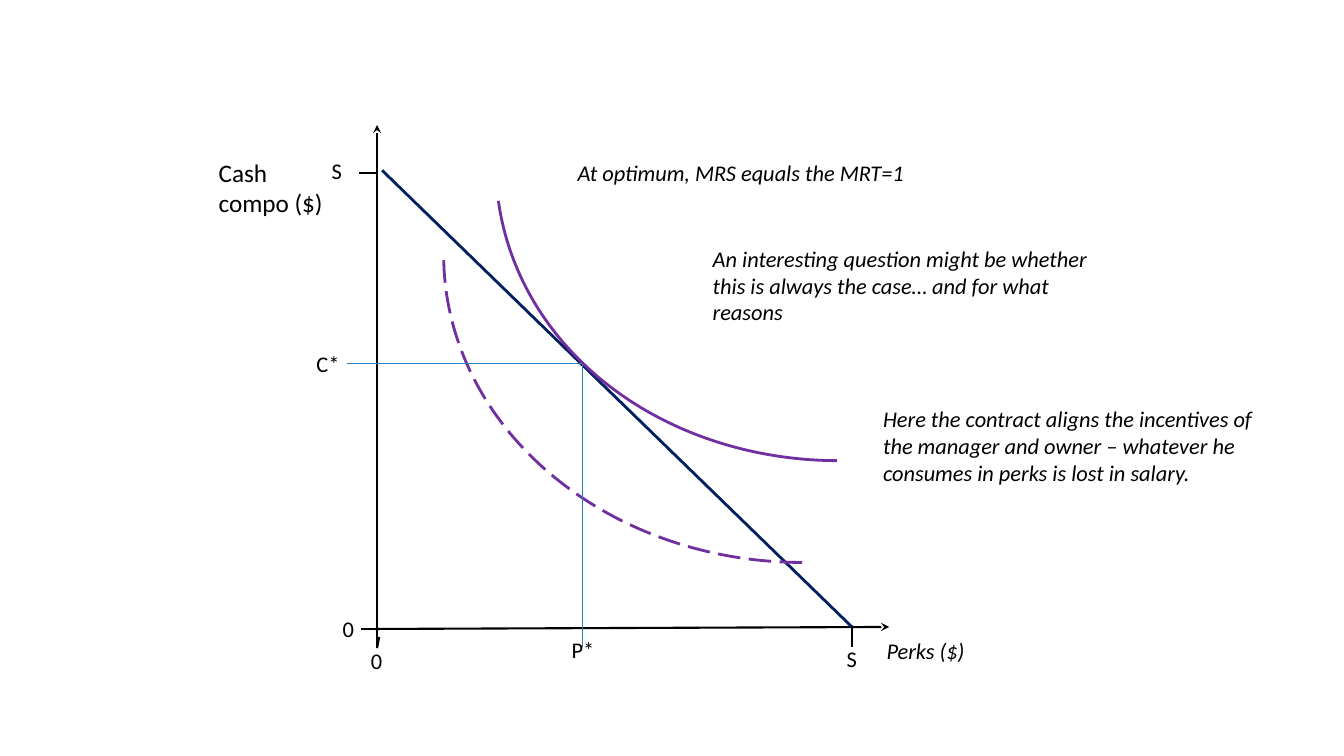
"""Draw the pay and perks budget line with the manager's indifference curves."""
from dataclasses import dataclass

from lxml.etree import SubElement
from pptx import Presentation
from pptx.dml.color import RGBColor
from pptx.enum.dml import MSO_LINE
from pptx.enum.shapes import MSO_CONNECTOR, MSO_SHAPE
from pptx.enum.text import MSO_AUTO_SIZE, PP_ALIGN
from pptx.oxml.ns import qn
from pptx.util import Inches, Pt


@dataclass(frozen=True)
class Theme:
    """Colours, type sizes and line widths."""
    font: str = "Calibri"
    ink: str = "000000"
    budget: str = "002060"
    curve: str = "7030A0"
    guide: str = "2683BF"
    title_size: int = 18
    text_size: int = 16
    axis_width: float = 1.5
    curve_width: float = 2
    guide_width: float = 0.75


THEME = Theme()
COLUMNS, ROWS = 133.3, 75
CELL = Inches(7.5) / ROWS

ZERO_X, ZERO_Y = 37.4, 62.4
FULL_X, FULL_Y = 84.5, 17.2
BEST_X, BEST_Y = 57.75, 36.1
BASE_Y, TICK_END = 62.2, 64.2
TICK = 1.8
ROW_HEIGHT = {1: 3.7, 2: 7.1, 3: 9.1}
ARC_WIDTH, ARC_HEIGHT = 71.1, 61

AXES = [
    ((ZERO_X, 12.4), (ZERO_X, TICK_END)),
    ((88.2, BASE_Y), (37.2, ZERO_Y)),
]
TICKS = [
    ((ZERO_X, 64.3), (37.6, 63.2)),
    ((ZERO_X - TICK + 0.2, ZERO_Y), (ZERO_X + 0.2, ZERO_Y)),
    ((FULL_X, BASE_Y), (FULL_X, TICK_END)),
    ((ZERO_X - TICK, FULL_Y), (ZERO_X, FULL_Y)),
]
BUDGET = ((37.9, 16.9), (FULL_X, BASE_Y))
GUIDES = [
    ((BEST_X, BEST_Y), (34.4, BEST_Y)),
    ((BEST_X, BEST_Y), (BEST_X, TICK_END)),
]
CURVES = [
    (49.1, -15.4, 172.2, (168.51, 0), MSO_LINE.SOLID),
    (44, -5.2, 180, (162, 0), MSO_LINE.LONG_DASH),
]
TICK_LABELS = [
    ("0", 35.8, 63.7, 4.3),
    ("0", 33, 60.5, 2.8),
    ("S", 83, 63.5, 4.3),
    ("S", 31.9, 15.1, 6.1),
    ("C*", 30.4, 34.2, 6.1),
    ("P*", 55.7, 62.6, 6.1),
]
NOTES = [
    ("At optimum, MRS equals the MRT=1", 56.3, 15.3, 1),
    ("An interesting question might be whether this is always the case… "
     "and for what reasons", 69.7, 23.8, 3),
    ("Here the contract aligns the incentives of the manager and owner – "
     "whatever he consumes in perks is lost in salary.", 86.6, 39.7, 3),
]
NOTE_WIDTH = 39.9


def cells(*counts):
    return [round(count * CELL) for count in counts]


def style_line(line, color, width):
    line.color.rgb = RGBColor.from_string(color)
    line.width = Pt(width)


def add_line(page, ends, color, width, arrow=False):
    (left, top), (right, bottom) = ends
    line = page.shapes.add_connector(
        MSO_CONNECTOR.STRAIGHT, *cells(left, top, right, bottom))
    style_line(line.line, color, width)
    properties = line._element.spPr
    if arrow:
        SubElement(properties.find(qn("a:ln")), qn("a:headEnd"), type="stealth")
    SubElement(properties, qn("a:effectLst"))


def add_curve(page, left, top, turn, angles, dash):
    curve = page.shapes.add_shape(
        MSO_SHAPE.ARC, *cells(left, top, ARC_WIDTH, ARC_HEIGHT))
    curve.adjustments[0], curve.adjustments[1] = angles
    curve.rotation = turn
    curve.shadow.inherit = False
    curve.fill.background()
    style_line(curve.line, THEME.curve, THEME.curve_width)
    curve.line.dash_style = dash


def add_text(page, text, left, top, width, rows=1, size=THEME.text_size,
             italic=False, align=PP_ALIGN.LEFT):
    box = page.shapes.add_textbox(*cells(left, top, width, ROW_HEIGHT[rows]))
    frame = box.text_frame
    frame.word_wrap = True
    frame.auto_size = MSO_AUTO_SIZE.SHAPE_TO_FIT_TEXT
    para = frame.paragraphs[0]
    para.alignment = align
    span = para.add_run()
    span.text = text
    span.font.name = THEME.font
    span.font.size = Pt(size)
    span.font.italic = italic
    span.font.color.rgb = RGBColor.from_string(THEME.ink)


def main():
    deck = Presentation()
    deck.slide_width, deck.slide_height = cells(COLUMNS, ROWS)
    page = deck.slides.add_slide(deck.slide_layouts[6])

    for ends in AXES:
        add_line(page, ends, THEME.ink, THEME.axis_width, arrow=True)
    for ends in TICKS:
        add_line(page, ends, THEME.ink, THEME.axis_width)
    add_line(page, BUDGET, THEME.budget, THEME.curve_width)
    for curve in CURVES:
        add_curve(page, *curve)
    for ends in GUIDES:
        add_line(page, ends, THEME.guide, THEME.guide_width)

    add_text(page, "Cash compo ($)", 20.7, 15.1, 13.7, 2, THEME.title_size)
    add_text(page, "Perks ($)", 83.3, 62.7, 17, italic=True, align=PP_ALIGN.CENTER)
    for label in TICK_LABELS:
        add_text(page, *label)
    for text, left, top, rows in NOTES:
        add_text(page, text, left, top, NOTE_WIDTH, rows, italic=True)

    deck.save("out.pptx")


if __name__ == "__main__":
    main()
